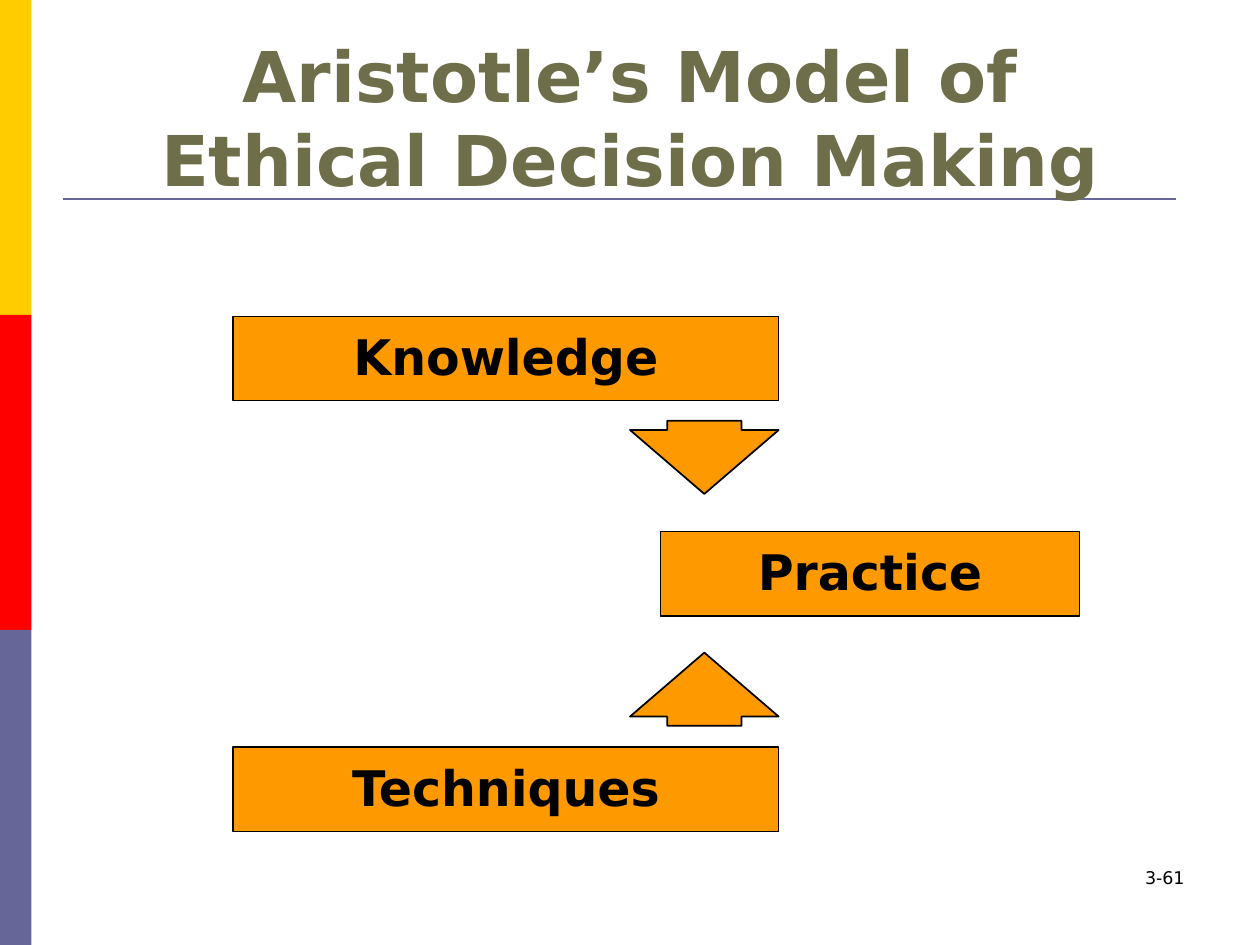
import pptx
import pptx.util
import pptx.dml.color
import pptx.enum.shapes
import pptx.enum.text
from lxml import etree

Inches, Pt = pptx.util.Inches, pptx.util.Pt
RGBColor = pptx.dml.color.RGBColor
SHAPE = pptx.enum.shapes.MSO_SHAPE
ALIGN = pptx.enum.text.PP_ALIGN
ANCHOR = pptx.enum.text.MSO_ANCHOR

FONT = "DejaVu Sans"
YELLOW = RGBColor(0xFF, 0xCC, 0x00)
RED = RGBColor(0xFF, 0x00, 0x00)
SLATE = RGBColor(0x66, 0x66, 0x99)
ORANGE = RGBColor(0xFF, 0x99, 0x00)
OLIVE = RGBColor(0x6F, 0x6E, 0x4A)
BLACK = RGBColor(0x00, 0x00, 0x00)

TITLE = ["Aristotle’s Model of", "Ethical Decision Making"]
PAGE = "3-61"
BANDS = [YELLOW, RED, SLATE]
BOXES = [("Knowledge", 1.85, 2.51, 4.33), ("Practice", 5.24, 4.22, 3.33),
         ("Techniques", 1.85, 5.93, 4.33)]
BOX_H = 0.67
ARROWS = [(3.34, False), (5.18, True)]


def add_shape(s, kind, x, y, w, h, fill, line=None):
    sp = s.shapes.add_shape(kind, Inches(x), Inches(y), Inches(w), Inches(h))
    sp.shadow.inherit = False
    sp.fill.solid()
    sp.fill.fore_color.rgb = fill
    if line:
        sp.line.color.rgb = BLACK
        sp.line.width = Pt(line)
    else:
        sp.line.fill.background()
    return sp


def add_text(sp, lines, size, color, align, anchor, bold=False, top=0.05):
    tf = sp.text_frame
    tf.word_wrap = True
    tf.vertical_anchor = anchor
    tf.margin_top = Inches(top)
    p = tf.paragraphs[0]
    p.alignment = align
    for i, text in enumerate(lines):
        if i:
            p.add_line_break()
        r = p.add_run()
        r.text = text
        r.font.name = FONT
        r.font.size = Pt(size)
        r.font.bold = bold
        r.font.color.rgb = color


def add_textbox(s, x, y, w, h):
    return s.shapes.add_textbox(Inches(x), Inches(y), Inches(w), Inches(h))


prs = pptx.Presentation()
prs.slide_width, prs.slide_height = Inches(10), Inches(7.5)
s = prs.slides.add_slide(prs.slide_layouts[6])

for i, color in enumerate(BANDS):
    add_shape(s, SHAPE.RECTANGLE, 0, 2.5 * i, 0.25, 2.5, color)

rule = s.shapes.add_connector(pptx.enum.shapes.MSO_CONNECTOR.STRAIGHT,
                              Inches(0.5), Inches(1.58), Inches(9.33), Inches(1.58))
rule.line.color.rgb = SLATE
rule.line.width = Pt(1.5)
sp_pr = rule.element.spPr
etree.SubElement(sp_pr, pptx.oxml.ns.qn("a:effectLst"))

for text, x, y, w in BOXES:
    box = add_shape(s, SHAPE.RECTANGLE, x, y, w, BOX_H, ORANGE, 0.75)
    add_text(box, [text], 28, BLACK, ALIGN.CENTER, ANCHOR.TOP, True, 0.08)

for y, flipped in ARROWS:
    arrow = add_shape(s, SHAPE.DOWN_ARROW, 5, y, 1.18, 0.58, ORANGE, 1)
    arrow.adjustments[0] = 0.5
    arrow.adjustments[1] = 0.875
    if flipped:
        arrow.element.spPr.xfrm.set("flipV", "1")

add_text(add_textbox(s, 7.17, 6.83, 2.33, 0.5), [PAGE], 10, BLACK, ALIGN.RIGHT, ANCHOR.TOP)
add_text(add_textbox(s, 0.5, 0.3, 9, 1.25), TITLE, 40, OLIVE, ALIGN.CENTER, ANCHOR.MIDDLE, True)

prs.save("out.pptx")
